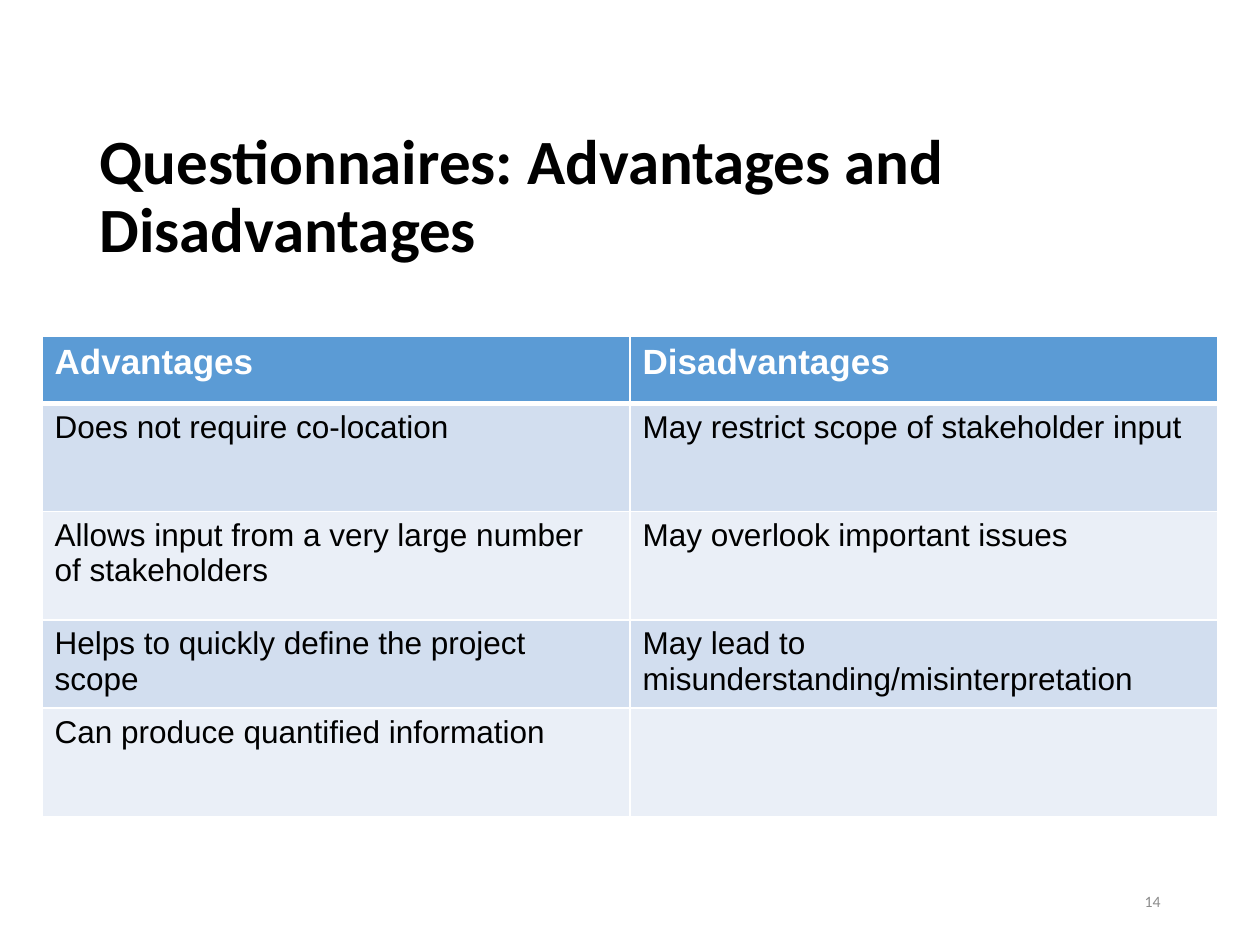
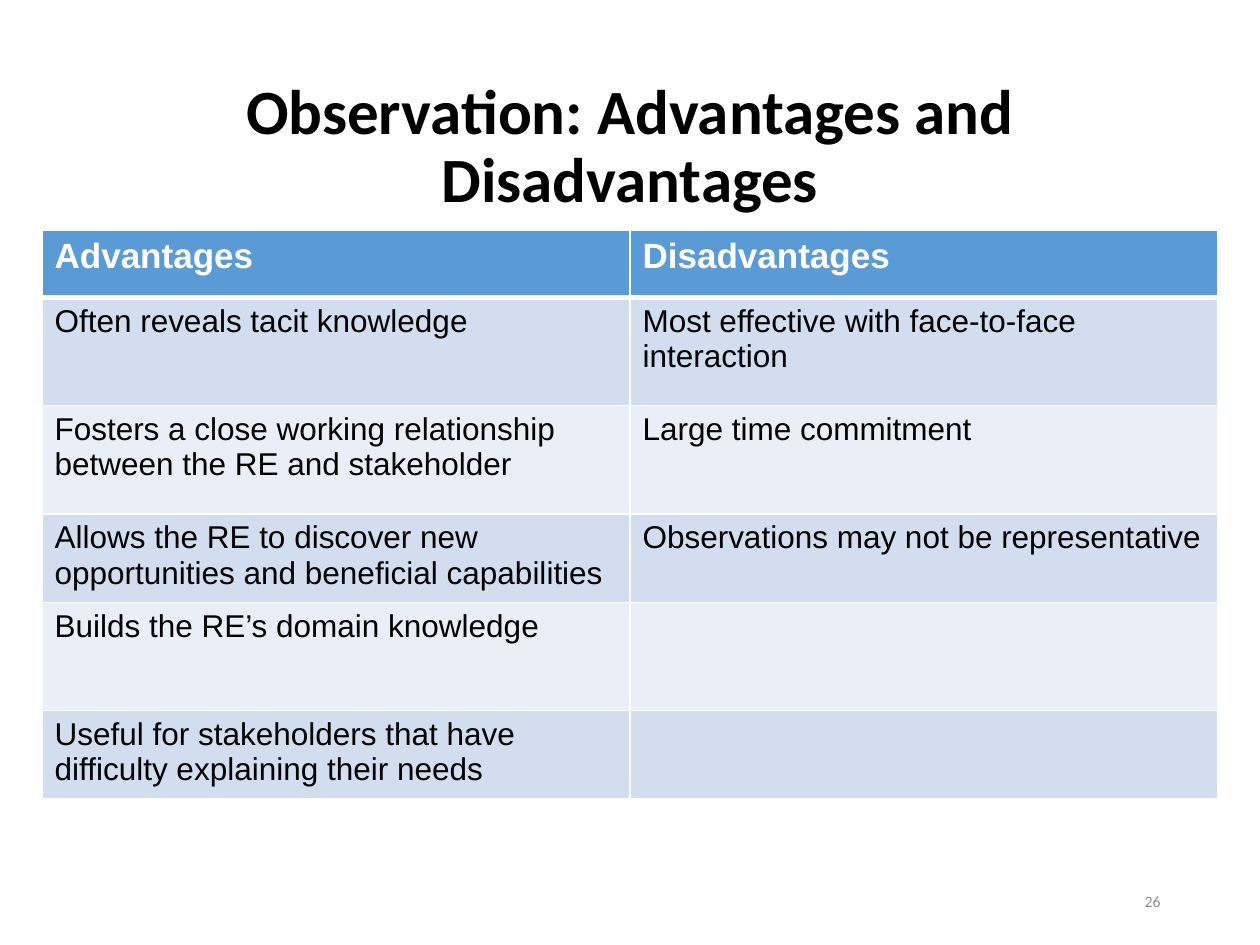
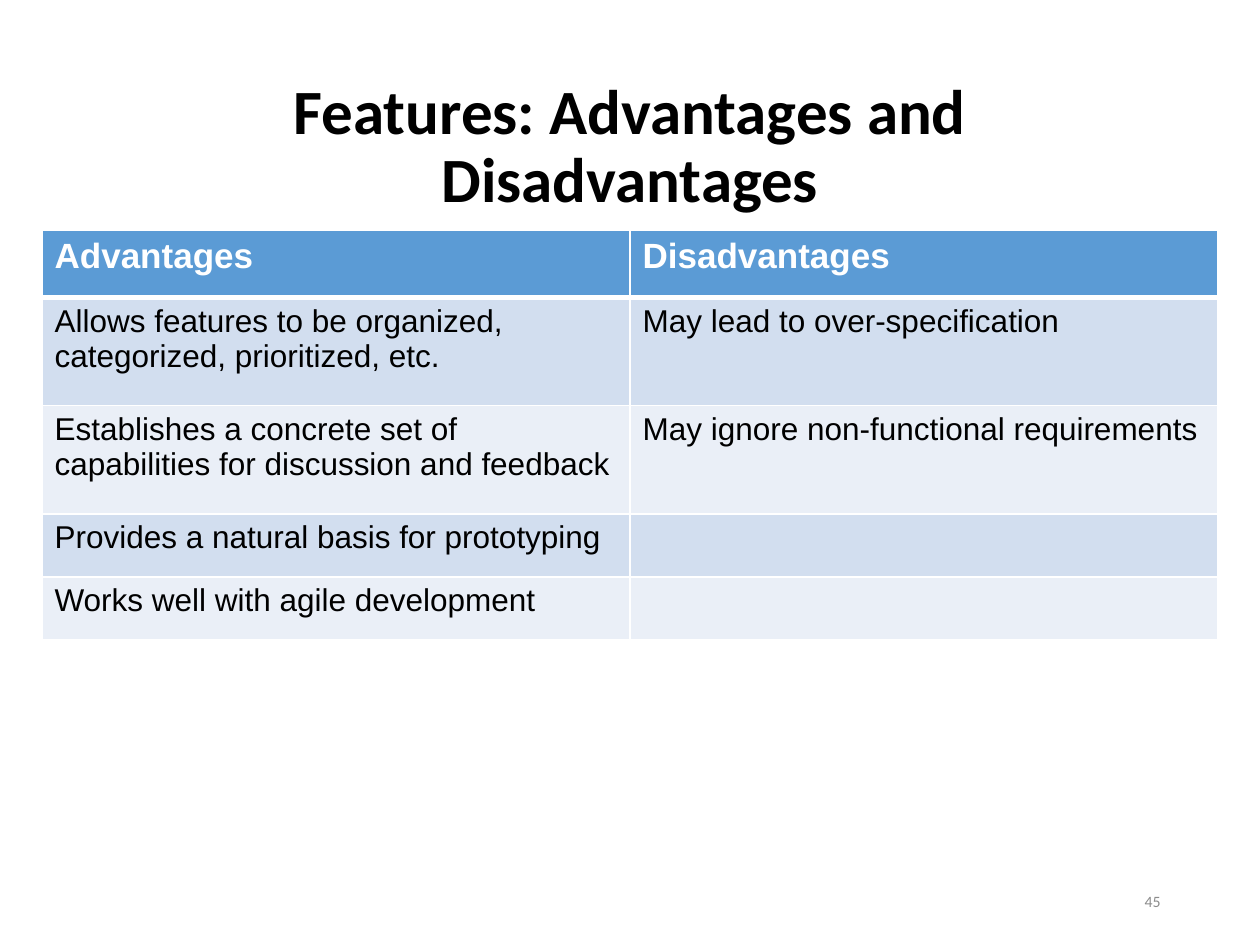
from lxml import etree
from pptx import Presentation
from pptx.dml.color import RGBColor
from pptx.enum.text import MSO_ANCHOR as Anchor, MSO_AUTO_SIZE as Fit, PP_ALIGN as Align
from pptx.oxml.ns import qn
from pptx.util import Inches, Pt

# Shared colours and fonts
BLACK = RGBColor(0x00, 0x00, 0x00)
WHITE = RGBColor(0xFF, 0xFF, 0xFF)
GREY = RGBColor(0x8C, 0x8C, 0x8C)
BLUE = RGBColor(0x5B, 0x9B, 0xD5)
BAND = RGBColor(0xD2, 0xDE, 0xEF)
PALE = RGBColor(0xEA, 0xEF, 0xF7)
HEAD_FONT, BODY_FONT = "Calibri", "Arial"

# Grid of the page, and row heights of the tables in grid rows
COLS, ROWS = 30, 75
HEAD, TALL, SHORT = 5.3, 8.6, 5


class Deck:
    def __init__(self):
        self.prs = Presentation()
        self.prs.slide_width, self.prs.slide_height = Inches(10), Inches(7.5)
        self.slide = None

    def x(self, cols):
        return round(self.prs.slide_width * cols / COLS)

    def y(self, rows):
        return round(self.prs.slide_height * rows / ROWS)

    def box(self, left, top, width, height):
        return self.x(left), self.y(top), self.x(width), self.y(height)

    def style(self, para, size, color, font, bold=False):
        for run in para.runs:
            run.font.size, run.font.name, run.font.bold = Pt(size), font, bold
            run.font.color.rgb = color

    def page(self):
        self.slide = self.prs.slides.add_slide(self.prs.slide_layouts[5])

    def title(self, text, top, align):
        shape = self.slide.shapes.title
        shape.left, shape.top, shape.width, shape.height = self.box(2.07, top, 25.86, 8.1)
        frame = shape.text_frame
        frame.text = text
        frame.auto_size, frame.word_wrap = Fit.NONE, True
        frame.vertical_anchor = Anchor.MIDDLE
        para = frame.paragraphs[0]
        para.alignment, para.line_spacing = align, 0.9
        self.style(para, 36, BLACK, HEAD_FONT, True)

    def number(self, value):
        frame = self.slide.shapes.add_textbox(*self.box(21.18, 69.5, 6.75, 4)).text_frame
        frame.text = str(value)
        frame.word_wrap = True
        frame.vertical_anchor = Anchor.MIDDLE
        para = frame.paragraphs[0]
        para.alignment = Align.RIGHT
        self.style(para, 9, GREY, HEAD_FONT)

    def edges(self, cell, top, low):
        props = cell._tc.get_or_add_tcPr()
        sides = (("a:lnL", 1), ("a:lnR", 1), ("a:lnT", top), ("a:lnB", low))
        for spot, (tag, width) in enumerate(sides):
            line = etree.Element(qn(tag), w=str(Pt(width)))
            fill = etree.SubElement(line, qn("a:solidFill"))
            etree.SubElement(fill, qn("a:srgbClr"), val=str(WHITE))
            props.insert(spot, line)

    def table(self, top, body):
        lines = [(HEAD, "Advantages", "Disadvantages"), *body]
        total = sum(line[0] for line in lines)
        grid = self.slide.shapes.add_table(len(lines), 2, *self.box(1, top, 28, total)).table
        for col in grid.columns:
            col.width = self.x(14)
        for row, (height, *texts) in enumerate(lines):
            grid.rows[row].height = self.y(height)
            for col, text in enumerate(texts):
                self.cell(grid.cell(row, col), row, text)

    def cell(self, cell, row, text):
        head = row == 0
        cell.text = text
        cell.fill.solid()
        cell.fill.fore_color.rgb = BLUE if head else BAND if row % 2 else PALE
        # A thick rule parts the header from the body
        self.edges(cell, 3 if row == 1 else 1, 3 if head else 1)
        size, color = (20, WHITE) if head else (18, BLACK)
        self.style(cell.text_frame.paragraphs[0], size, color, BODY_FONT, head)


# Subject, page number, title top, title alignment, table top, table body
PAGES = [
    ("Questionnaires", 14, 11.7, Align.LEFT, 26.7, [
        (TALL, "Does not require co-location", "May restrict scope of stakeholder input"),
        (TALL, "Allows input from a very large number of stakeholders",
         "May overlook important issues"),
        (SHORT, "Helps to quickly define the project scope",
         "May lead to misunderstanding/misinterpretation"),
        (TALL, "Can produce quantified information", ""),
    ]),
    ("Observation", 26, 7.7, Align.CENTER, 18.3, [
        (TALL, "Often reveals tacit knowledge", "Most effective with face-to-face interaction"),
        (TALL, "Fosters a close working relationship between the RE and stakeholder",
         "Large time commitment"),
        (SHORT, "Allows the RE to discover new opportunities and beneficial capabilities",
         "Observations may not be representative"),
        (TALL, "Builds the RE’s domain knowledge", ""),
        (SHORT, "Useful for stakeholders that have difficulty explaining their needs", ""),
    ]),
    ("Features", 45, 7.7, Align.CENTER, 18.3, [
        (TALL, "Allows features to be organized, categorized, prioritized, etc.",
         "May lead to over-specification"),
        (TALL, "Establishes a concrete set of capabilities for discussion and feedback",
         "May ignore non-functional requirements"),
        (SHORT, "Provides a natural basis for prototyping", ""),
        (SHORT, "Works well with agile development", ""),
    ]),
]


def main():
    deck = Deck()
    for topic, number, top, align, start, body in PAGES:
        deck.page()
        deck.number(number)
        deck.title(f"{topic}: Advantages and Disadvantages", top, align)
        deck.table(start, body)
    deck.prs.save("out.pptx")


if __name__ == "__main__":
    main()
